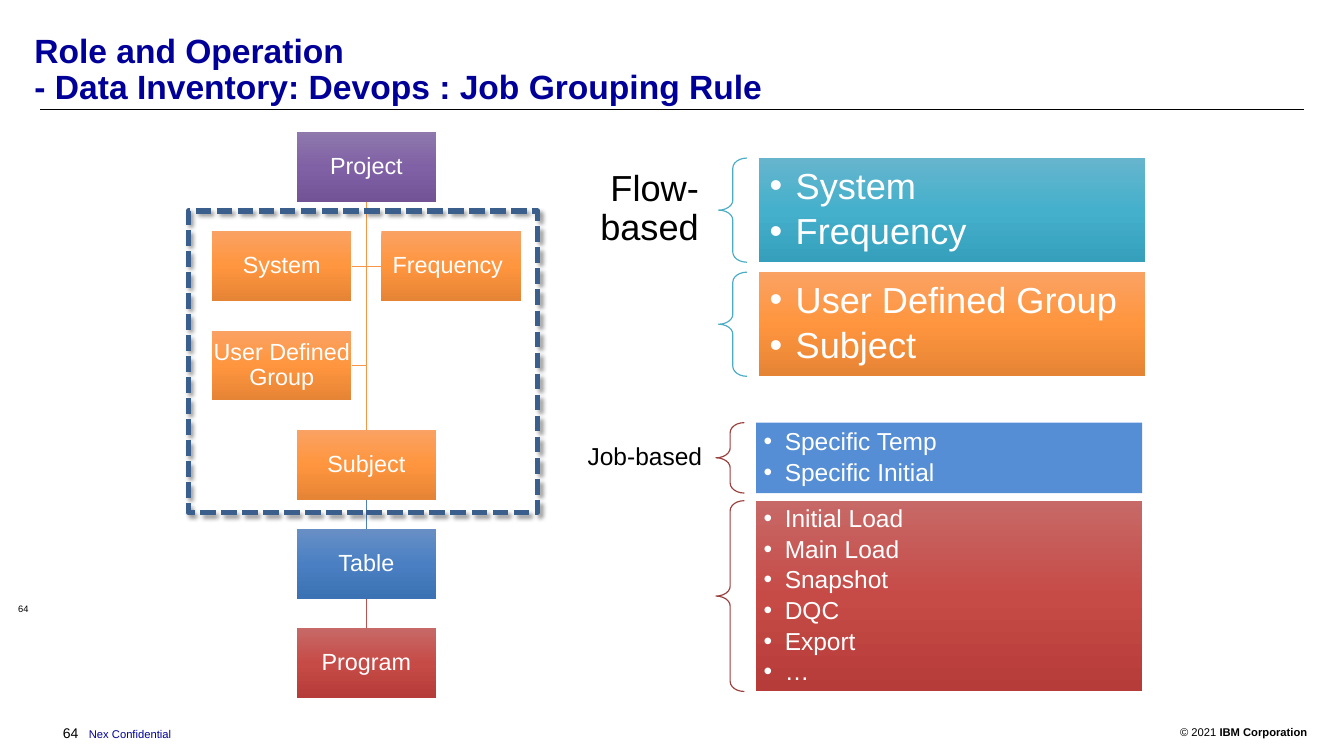
import copy

import pptx
import pptx.dml.color
import pptx.enum.dml
import pptx.enum.shapes
import pptx.enum.text
import pptx.oxml
import pptx.oxml.ns
import pptx.util

Cm = pptx.util.Cm
Pt = pptx.util.Pt
Shape = pptx.enum.shapes.MSO_SHAPE
Align = pptx.enum.text.PP_ALIGN
Anchor = pptx.enum.text.MSO_ANCHOR
qn = pptx.oxml.ns.qn

COLORS = {
    "black": "000000", "white": "FFFFFF", "navy": "000099", "frame": "3A5F8C",
    "orange line": "F79646", "blue line": "4F81BD", "red line": "C0504D",
    "teal brace": "4BACC6", "red brace": "9A403E",
}
FILLS = {
    "purple": ("8E78AC", "8061A5", "715396"),
    "orange": ("FAA263", "FF953E", "E58435"),
    "blue": ("688FC5", "4A80C3", "3B72B3"),
    "red": ("C76967", "C64B47", "B63C39"),
    "teal": ("66B5CD", "45B0CC", "36A0BC"),
    "sky": ("558ED5",),
}
TRUNK, TOP, PITCH, SIDE = 11.08, 4, 3, 2.56
NODE_WIDTH, NODE_HEIGHT = 4.22, 2.11
NODES = [
    ("Project", 0, 0, "purple"), ("System", -1, 1, "orange"),
    ("Frequency ", 1, 1, "orange"), ("User Defined Group", -1, 2, "orange"),
    ("Subject", 0, 3, "orange"), ("Table", 0, 4, "blue"), ("Program", 0, 5, "red"),
]
LISTS = [
    (22.94, 4.78, 3.15, "teal", "teal brace", 31, ["System", "Frequency"]),
    (22.94, 8.23, 3.15, "orange", "teal brace", 31, ["User Defined Group", "Subject"]),
    (22.86, 12.78, 2.13, "sky", "red brace", 21, ["Specific Temp", "Specific Initial"]),
    (22.86, 15.14, 5.77, "red", "red brace", 21,
     ["Initial Load", "Main Load", "Snapshot", "DQC", "Export", "…"]),
]


def rgb(value):
    """Turn a hex string into a colour."""
    return pptx.dml.color.RGBColor.from_string(value)


def element(tag, **values):
    """Make a drawing element with the given attributes."""
    node = pptx.oxml.parse_xml(f"<a:{tag} {pptx.oxml.ns.nsdecls('a')}/>")
    for name, value in values.items():
        node.set(name, str(value))
    return node


class Page:
    """Hold the style and the current slide."""

    font = "Arial"

    def __init__(self, deck):
        """Start a slide with a title and four body placeholders."""
        self.slide = deck.slides.add_slide(deck.slide_layouts[4])
        self.shapes = self.slide.shapes
        self.bodies = list(self.slide.placeholders)[1:]

    def place(self, box, *lengths):
        """Move and size a box in centimetres."""
        for name, value in zip(("left", "top", "width", "height"), lengths):
            setattr(box, name, Cm(value))

    def frame(self, box, inset=(0.25, 0.13), anchor=Anchor.MIDDLE):
        """Set the margins, wrapping and anchor of a box."""
        across, down = inset
        values = {
            "margin_left": Cm(across), "margin_right": Cm(across),
            "margin_top": Cm(down), "margin_bottom": Cm(down),
            "word_wrap": True, "vertical_anchor": anchor,
            "auto_size": pptx.enum.text.MSO_AUTO_SIZE.NONE,
        }
        for name, value in values.items():
            setattr(box.text_frame, name, value)

    def fill_para(self, para, spans, align=Align.LEFT, spacing=0.9, after=0):
        """Fill a paragraph with spans of text, size, colour and weight."""
        values = {"alignment": align, "line_spacing": spacing,
                  "space_before": Pt(0), "space_after": Pt(after)}
        for name, value in values.items():
            setattr(para, name, value)
        for text, size, color, bold in spans:
            span = para.add_run()
            span.text = text
            for name, value in {"name": self.font, "size": Pt(size), "bold": bold}.items():
                setattr(span.font, name, value)
            span.font.color.rgb = rgb(COLORS[color])

    def paint(self, box, fill):
        """Give a box a plain or three-step vertical fill."""
        shades = FILLS[fill]
        if len(shades) == 1:
            box.fill.solid()
            box.fill.fore_color.rgb = rgb(shades[0])
            return
        box.fill.gradient()
        box.fill.gradient_angle = 270
        stops = box._element.spPr.find(".//" + qn("a:gsLst"))
        stops.append(copy.deepcopy(stops[-1]))
        for stop, shade, position in zip(box.fill.gradient_stops, shades, (0, 0.5, 1)):
            stop.color.rgb = rgb(shade)
            stop.position = position

    def stroke(self, box, color, width=1):
        """Set the line of a shape or connector."""
        box.line.color.rgb = rgb(COLORS[color])
        box.line.width = Pt(width)

    def title(self, text):
        """Format the title placeholder."""
        box = self.shapes.title
        self.place(box, 0.79, 0.86, 38.6, 2.51)
        self.frame(box, anchor=Anchor.BOTTOM)
        para = box.text_frame.paragraphs[0]
        first, second = text
        self.fill_para(para, [(first, 28.8, "navy", True)])
        para.add_line_break()
        self.fill_para(para, [(second, 28.8, "navy", True)])

    def text(self, place, spans, align=Align.LEFT, tab=None, spacing=1, **frame):
        """Add a text box with one paragraph."""
        box = self.shapes.add_textbox(*map(Cm, place))
        self.frame(box, **frame)
        para = box.text_frame.paragraphs[0]
        if tab:
            tabs = element("tabLst")
            tabs.append(element("tab", pos=Cm(tab), algn="l"))
            para._p.get_or_add_pPr().append(tabs)
        self.fill_para(para, spans, align, spacing)

    def outline(self, kind, place, color, width=1):
        """Add an unfilled preset shape."""
        box = self.shapes.add_shape(kind, *map(Cm, place))
        box.shadow.inherit = False
        box.fill.background()
        self.stroke(box, color, width)
        return box

    def node(self, text, side, row, fill):
        """Add one box of the tree."""
        left = TRUNK + side * SIDE - NODE_WIDTH / 2
        box = self.shapes.add_shape(Shape.RECTANGLE, *map(
            Cm, (left, TOP + row * PITCH, NODE_WIDTH, NODE_HEIGHT)))
        box.shadow.inherit = False
        box.line.fill.background()
        self.paint(box, fill)
        self.frame(box, (0.03, 0.03))
        self.fill_para(box.text_frame.paragraphs[0], [(text, 20, "white", False)], Align.CENTER)

    def line(self, start, end, color, width=1):
        """Add a straight line."""
        line = self.shapes.add_connector(
            pptx.enum.shapes.MSO_CONNECTOR.STRAIGHT, *map(Cm, start + end))
        self.stroke(line, color, width)
        line._element.spPr.append(element("effectLst"))

    def elbow(self, points, color):
        """Add an open bent line."""
        first, *rest = [tuple(map(Cm, point)) for point in points]
        builder = self.shapes.build_freeform(*first)
        builder.add_line_segments(rest, close=False)
        bend = builder.convert_to_shape()
        bend.shadow.inherit = False
        bend.fill.background()
        self.stroke(bend, color)

    def bullets(self, box, left, top, height, fill, brace, size, items):
        """Format a body placeholder as a filled list with a brace."""
        large = size > 30
        self.place(box, left, top, 11.68, height)
        self.paint(box, fill)
        self.frame(box, (0.33, 0.33) if large else (0.23, 0.23))
        indent = Cm(0.79 if large else 0.64)
        for index, item in enumerate(items):
            para = box.text_frame.add_paragraph() if index else box.text_frame.paragraphs[0]
            props = para._p.get_or_add_pPr()
            props.set("marL", str(indent))
            props.set("indent", str(-indent))
            props.append(element("buChar", char="•"))
            self.fill_para(para, [(item, size, "white", False)], after=round(size * 0.17, 1))
        shape = self.outline(Shape.LEFT_BRACE, (left - 1.21, top, 0.86, height), brace)
        shape.adjustments[0] = 0.35

    def dashed(self, place):
        """Add the dashed frame with its soft shadow."""
        box = self.outline(Shape.RECTANGLE, place, "frame", 4.5)
        box.line.dash_style = pptx.enum.dml.MSO_LINE.SQUARE_DOT
        shadow = element("outerShdw", blurRad=Pt(4), dist=Pt(3), dir=2700000,
                         algn="tl", rotWithShape=0)
        tint = element("srgbClr", val=COLORS["black"])
        tint.append(element("alpha", val=40000))
        shadow.append(tint)
        box._element.spPr.find(qn("a:effectLst")).append(shadow)


def main():
    """Build the slide and save it."""
    deck = pptx.Presentation()
    deck.slide_width, deck.slide_height = Cm(40.64), Cm(22.86)
    page = Page(deck)
    page.title(("Role and Operation", "- Data Inventory: Devops : Job Grouping Rule"))
    page.line((1.22, 3.3), (39.42, 3.3), "black", 0.75)
    page.text((33.73, 21.79, 6.1, 0.61),
              [("© 2021 ", 9.6, "black", False), ("IBM Corporation", 9.6, "black", True)],
              Align.RIGHT, inset=(0.3, 0.15), anchor=Anchor.TOP)
    page.text((1.65, 21.77, 5, 0.76),
              [("64", 12, "black", False), ("\tNex Confidential", 9.6, "navy", False)],
              tab=0.79, anchor=Anchor.TOP)

    middle = [TOP + row * PITCH + NODE_HEIGHT / 2 for row in range(6)]
    foot = [TOP + row * PITCH + NODE_HEIGHT for row in range(6)]
    reach = SIDE - NODE_WIDTH / 2
    for side, row in ((-1, 2), (1, 1), (-1, 1)):
        page.elbow([(TRUNK, foot[0]), (TRUNK, middle[row]),
                    (TRUNK + side * reach, middle[row])], "orange line")
    for above, below, color in ((4, 5, "red line"), (3, 4, "blue line"), (0, 3, "orange line")):
        page.line((TRUNK, foot[above]), (TRUNK, TOP + below * PITCH), color)
    for node in NODES:
        page.node(*node)

    page.text((17.45, 4.98, 4.29, 2.72), [("Flow-based", 31, "black", False)],
              Align.RIGHT, spacing=0.9, inset=(0.61, 0.23))
    page.text((17.35, 13.28, 4.29, 1.14), [("Job-based", 21, "black", False)],
              Align.RIGHT, spacing=0.9, inset=(0.41, 0.15))
    for body, entry in zip(page.bodies, LISTS):
        page.bullets(body, *entry)
    page.text((0.3, 18.11, 1.02, 0.51), [("64", 8, "black", False)], anchor=Anchor.TOP)
    page.dashed((5.69, 6.38, 10.57, 9.12))
    deck.save("out.pptx")


if __name__ == "__main__":
    main()
